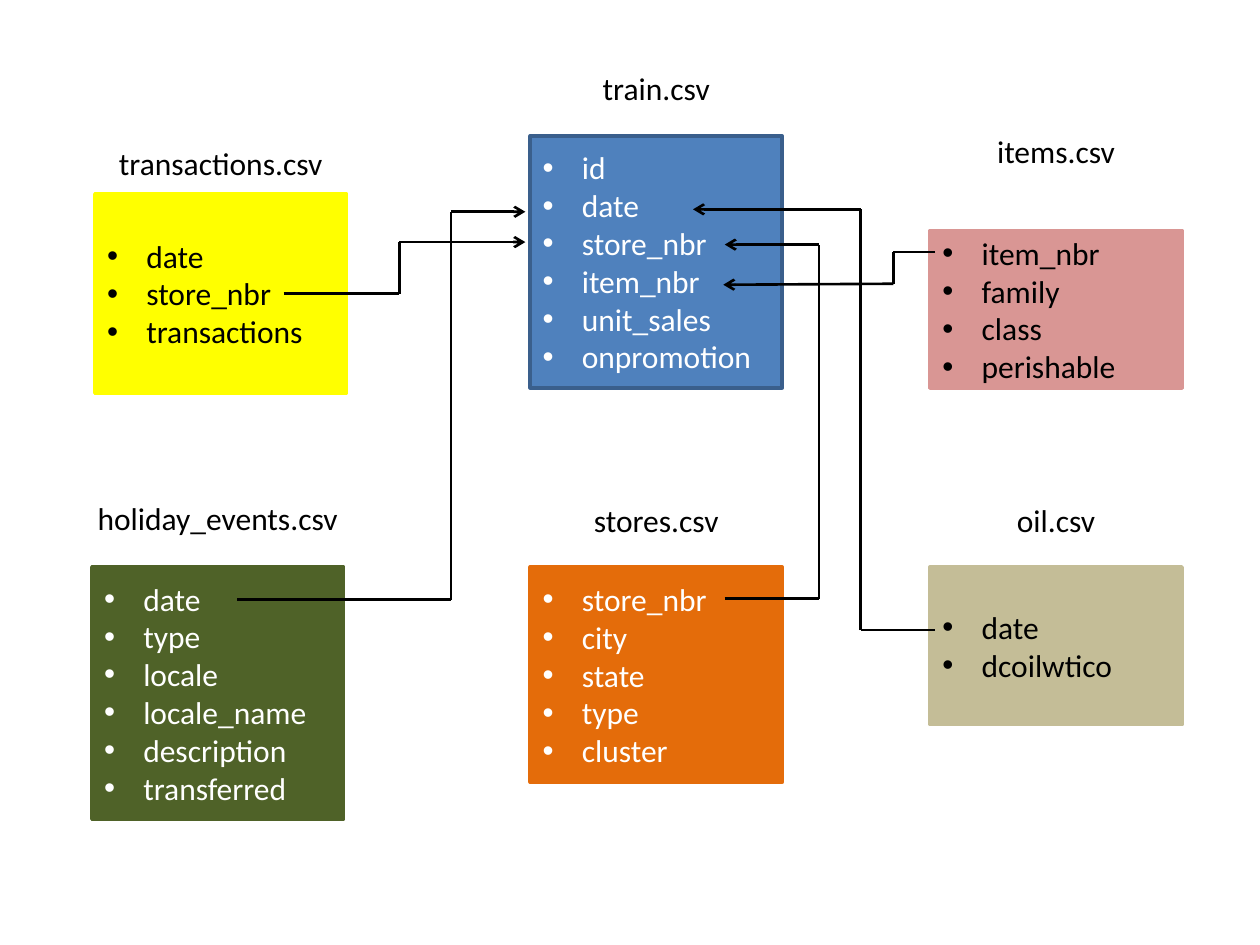
import itertools

import pptx
import pptx.dml.color
import pptx.enum.shapes
import pptx.enum.text
import pptx.oxml.ns
import pptx.util
from lxml import etree

Cm = pptx.util.Cm
Pt = pptx.util.Pt
qn = pptx.oxml.ns.qn

BOX_WIDTH = 5.08
CAPTION_HEIGHT = 1.02
LEFT, MIDDLE, RIGHT = 1.85, 10.69, 18.75
LOWER = 11.43
BLACK, WHITE = "000000", "FFFFFF"

TABLES = [
    ("train.csv", MIDDLE, 2.74, 5.08, 1.47, 4.01, "4F81BD", "3A5F8C", WHITE,
     ["id", "date", "store_nbr", "item_nbr", "unit_sales", "onpromotion"]),
    ("oil.csv", RIGHT, LOWER, 3.18, 1.45, 4.01, "C4BD97", "C4BD97", BLACK,
     ["date", "dcoilwtico"]),
    ("holiday_events.csv", LEFT, LOWER, 5.08, 1.5, 5.82, "4F6228", "4F6228", WHITE,
     ["date", "type", "locale", "locale_name", "description", "transferred"]),
    ("transactions.csv", 1.91, 3.91, 4.01, 1.14, 5.82, "FFFF00", "FFFF00", BLACK,
     ["date", "store_nbr", "transactions"]),
    ("items.csv", RIGHT, 4.65, 3.18, 2.11, 4.01, "D99694", "D99694", BLACK,
     ["item_nbr", "family", "class", "perishable"]),
    ("stores.csv", MIDDLE, LOWER, 4.34, 1.45, 4.01, "E46C0A", "E46C0A", WHITE,
     ["store_nbr", "city", "state", "type", "cluster"]),
]

LINKS = [
    [(5.72, 5.92), (8.05, 5.92), (8.05, 4.88), (10.59, 4.88)],
    [(4.78, 12.09), (9.09, 12.09), (9.09, 4.27), (10.59, 4.27)],
    [(14.61, 12.07), (16.51, 12.07), (16.51, 4.93), (14.61, 4.93)],
    [(18.85, 5.08), (18.01, 5.08), (18.01, 5.72), (14.58, 5.74)],
    [(18.85, 12.7), (17.35, 12.7), (17.35, 4.22), (13.97, 4.22)],
]


def rgb(value):
    """Turn a hex string into a colour."""
    return pptx.dml.color.RGBColor.from_string(value)


def format_text(tf, color, align):
    """Set the font, colour and alignment of every paragraph."""
    for p in tf.paragraphs:
        p.alignment = align
        for r in p.runs:
            r.font.name = "Calibri"
            r.font.size = Pt(18)
            r.font.color.rgb = rgb(color)


def add_bullet(p):
    """Give a paragraph a round bullet and a hanging indent."""
    pPr = p._p.get_or_add_pPr()
    pPr.set("marL", str(Cm(0.79)))
    pPr.set("indent", str(-Cm(0.79)))
    etree.SubElement(pPr, qn("a:buFont"), typeface="Arial")
    etree.SubElement(pPr, qn("a:buChar"), char="•")


def add_caption(s, name, x, y, width):
    """Write a file name in a centred text box."""
    sp = s.shapes.add_textbox(Cm(x), Cm(y), Cm(width), Cm(CAPTION_HEIGHT))
    tf = sp.text_frame
    tf.word_wrap = True
    tf.auto_size = pptx.enum.text.MSO_AUTO_SIZE.SHAPE_TO_FIT_TEXT
    tf.text = name
    format_text(tf, BLACK, pptx.enum.text.PP_ALIGN.CENTER)


def add_table_box(s, name, x, y, height, gap, caption_width, fill, line, color, fields):
    """Draw a box of fields with its file name centred above."""
    sp = s.shapes.add_shape(pptx.enum.shapes.MSO_SHAPE.RECTANGLE,
                            Cm(x), Cm(y), Cm(BOX_WIDTH), Cm(height))
    sp.shadow.inherit = False
    sp.fill.solid()
    sp.fill.fore_color.rgb = rgb(fill)
    sp.line.color.rgb = rgb(line)
    sp.line.width = Pt(2)
    tf = sp.text_frame
    tf.word_wrap = True
    tf.vertical_anchor = pptx.enum.text.MSO_ANCHOR.MIDDLE
    tf.text = "\n".join(fields)
    format_text(tf, color, pptx.enum.text.PP_ALIGN.LEFT)
    for p in tf.paragraphs:
        add_bullet(p)
    add_caption(s, name, x + (BOX_WIDTH - caption_width) / 2, y - gap, caption_width)


def add_link(s, points):
    """Join the points with lines and end in an arrowhead."""
    for start, end in itertools.pairwise(points):
        line = s.shapes.add_connector(pptx.enum.shapes.MSO_CONNECTOR.STRAIGHT,
                                      *map(Cm, start + end))
        line.line.color.rgb = rgb(BLACK)
        line.line.width = Pt(1.5)
        etree.SubElement(line._element.spPr, qn("a:effectLst"))
    etree.SubElement(line.line._get_or_add_ln(), qn("a:tailEnd"), type="arrow")


def build():
    """Build the slide of linked files and save it."""
    prs = pptx.Presentation()
    prs.slide_width, prs.slide_height = Cm(25.4), Cm(19.05)
    s = prs.slides.add_slide(prs.slide_layouts[6])
    for table in TABLES:
        add_table_box(s, *table)
    for points in LINKS:
        add_link(s, points)
    prs.save("out.pptx")


build()
